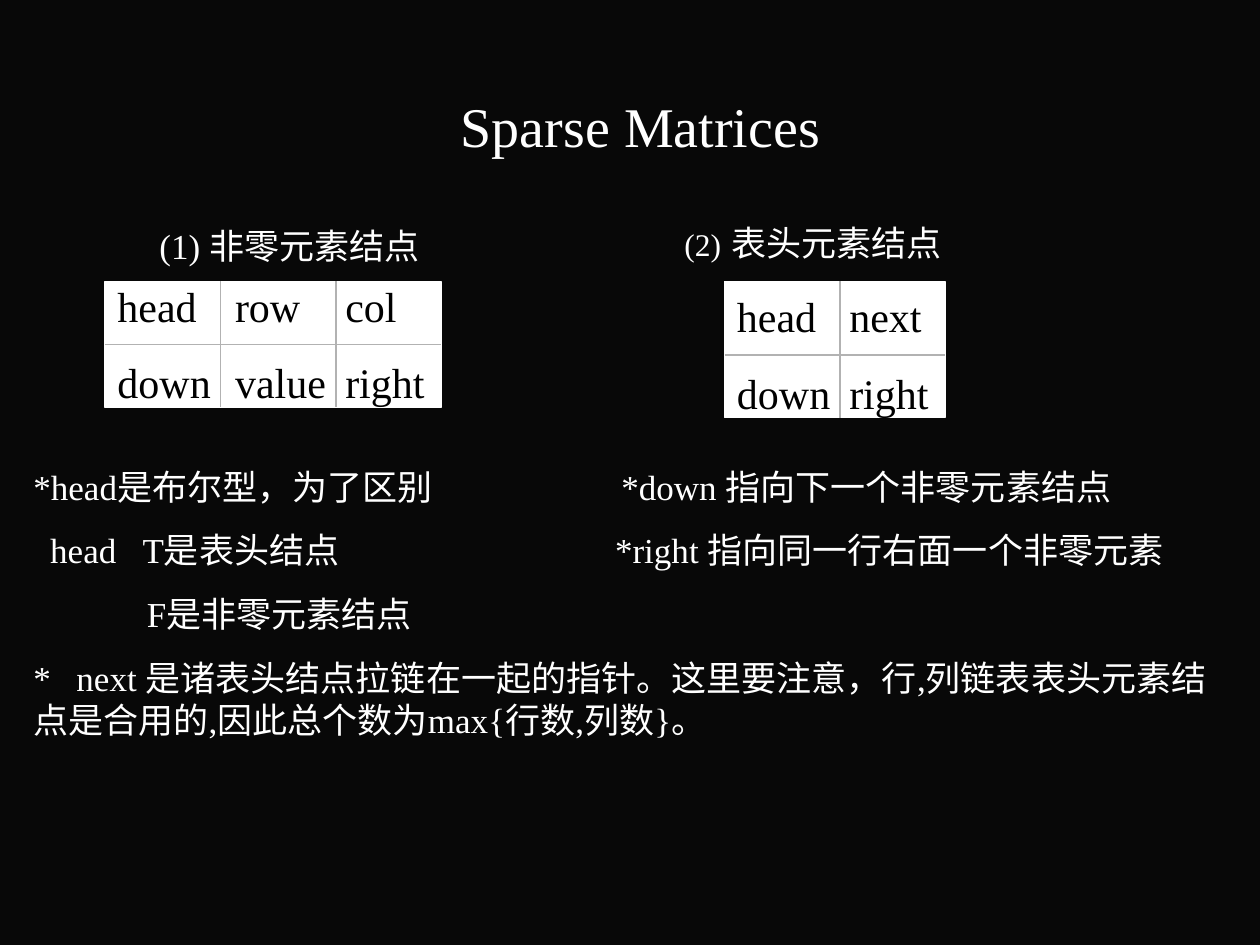
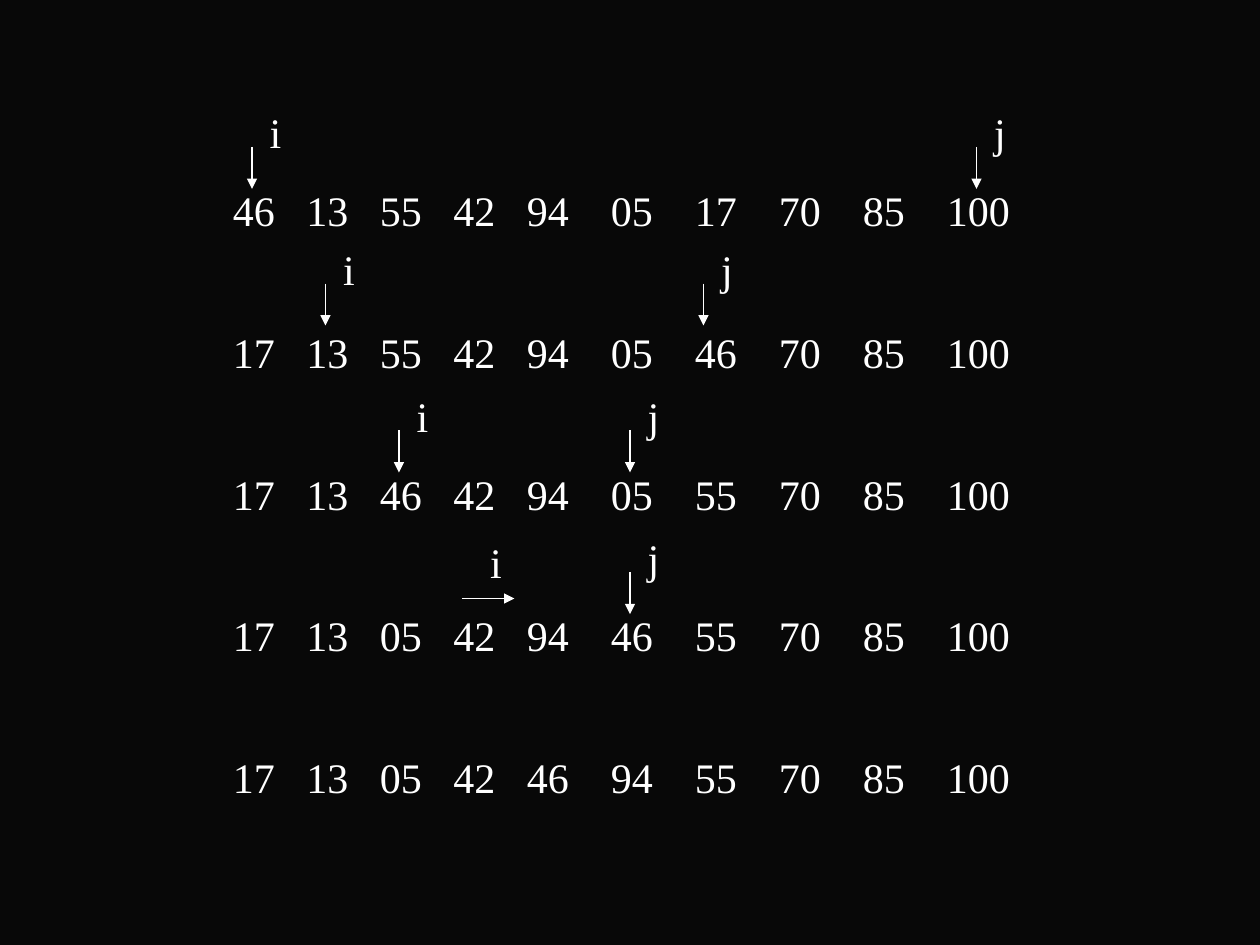
from dataclasses import dataclass

from lxml import etree
from pptx import Presentation, util as u
from pptx.dml.color import RGBColor
from pptx.enum import shapes, text
from pptx.oxml import ns

BLACK, WHITE, GREY, BACKGROUND = "000000", "FFFFFF", "B2B2B2", "080808"
FONT = "Times New Roman"
SLIDE_WIDTH, SLIDE_HEIGHT = u.Inches(10), u.Inches(7.5)
GRID_COLUMNS = 120
UNIT = SLIDE_WIDTH / GRID_COLUMNS


@dataclass(frozen=True)
class Area:
    column: float
    row: float
    columns: float
    rows: float


@dataclass(frozen=True)
class Line:
    content: str
    tabs: tuple[float, ...] = ()


@dataclass(frozen=True)
class Span:
    content: str
    size: float


@dataclass(frozen=True)
class Node:
    box: Area
    text_row: float
    divider_row: float
    divider_columns: tuple[float, ...]
    tabs: tuple[float, ...]
    fields: tuple[str, str]


@dataclass(frozen=True)
class Pointer:
    name: str
    column: float
    row: float


NODES = (
    Node(Area(10, 26.8, 32, 12), 26.1, 32.8, (21, 32), (11.2, 21.7),
         ("head\trow\tcol", "down\tvalue\tright")),
    Node(Area(69, 26.8, 21, 13), 27.1, 33.8, (80,), (10.7,),
         ("head\tnext", "down\tright")),
)
NOTES = (
    Line("*head是布尔型，为了区别\t*down 指向下一个非零元素结点", (56,)),
    Line("\thead\tT是表头结点\t*right 指向同一行右面一个非零元素", (1.6, 10.4, 55.4)),
    Line("\tF是非零元素结点", (10.8,)),
    Line("*\tnext 是诸表头结点拉链在一起的指针。这里要注意，行,列链表表头元素结点"
         "是合用的,因此总个数为max{行数,列数}。", (4.1,)),
)
PASSES = (
    "46 13 55 42 94 05 17 70 85 100",
    "17 13 55 42 94 05 46 70 85 100",
    "17 13 46 42 94 05 55 70 85 100",
    "17 13 05 42 94 46 55 70 85 100",
    "17 13 05 42 46 94 55 70 85 100",
)
FIRST_PASS_ROW, PASS_STEP = 17, 13.5
NUMBER_TABS = tuple(7 * k for k in range(1, 5)) + tuple(28 + 8 * k for k in range(1, 6))
POINTERS = (
    Pointer("i", 24, 14), Pointer("j", 93, 14),
    Pointer("i", 31, 27), Pointer("j", 67, 27),
    Pointer("i", 38, 41), Pointer("j", 60, 41),
    Pointer("j", 60, 54.5),
)


def grid(units: float) -> u.Emu:
    return u.Emu(round(units * UNIT))


def color(value: str) -> RGBColor:
    return RGBColor.from_string(value)


def place(area: Area) -> tuple[u.Emu, ...]:
    return tuple(map(grid, (area.column, area.row, area.columns, area.rows)))


def style(font, size: float, ink: str) -> None:
    font.name = FONT
    font.size = u.Pt(size)
    font.color.rgb = color(ink)


def add_tabs(paragraph, stops: tuple[float, ...]) -> None:
    if not stops:
        return
    tab_list = etree.SubElement(paragraph._p.get_or_add_pPr(), ns.qn("a:tabLst"))
    for stop in stops:
        etree.SubElement(tab_list, ns.qn("a:tab"), pos=str(grid(stop)), algn="l")


def add_frame(slide, area: Area):
    frame = slide.shapes.add_textbox(*place(area)).text_frame
    frame.word_wrap = True
    return frame


def add_text(slide, area: Area, lines: tuple[Line, ...], size: float,
             ink: str = WHITE, space_before: float = 0):
    frame = add_frame(slide, area)
    for index, line in enumerate(lines):
        paragraph = frame.add_paragraph() if index else frame.paragraphs[0]
        paragraph.text = line.content
        add_tabs(paragraph, line.tabs)
        if index:
            paragraph.space_before = u.Pt(space_before)
        style(paragraph.font, size, ink)
    return frame


def add_spans(slide, area: Area, spans: tuple[Span, ...]) -> None:
    paragraph = add_frame(slide, area).paragraphs[0]
    for span in spans:
        run = paragraph.add_run()
        run.text = span.content
        style(run.font, span.size, WHITE)


def add_line(slide, start: tuple[float, float], end: tuple[float, float],
             ink: str, arrow: bool = False) -> None:
    connector = slide.shapes.add_connector(
        shapes.MSO_CONNECTOR.STRAIGHT, *map(grid, start + end))
    connector.line.color.rgb = color(ink)
    connector.line.width = u.Pt(0.75)
    if arrow:
        etree.SubElement(connector.line._get_or_add_ln(), ns.qn("a:tailEnd"), type="triangle")
    etree.SubElement(connector._element.spPr, ns.qn("a:effectLst"))


def add_node(slide, node: Node) -> None:
    box = node.box
    shape = slide.shapes.add_shape(shapes.MSO_SHAPE.RECTANGLE, *place(box))
    shape.shadow.inherit = False
    shape.fill.solid()
    shape.fill.fore_color.rgb = color(WHITE)
    shape.line.color.rgb = color(WHITE)
    shape.line.width = u.Pt(0.75)
    add_line(slide, (box.column, node.divider_row),
             (box.column + box.columns, node.divider_row), GREY)
    for column in node.divider_columns:
        add_line(slide, (column, box.row), (column, box.row + box.rows), GREY)
    lines = tuple(Line(field, node.tabs) for field in node.fields)
    add_text(slide, Area(box.column, node.text_row, box.columns + 1, 13.3), lines, 24, BLACK, 15)


def add_pointer_name(slide, name: str, column: float, row: float) -> None:
    add_text(slide, Area(column, row, 3.5, 6), (Line(name),), 24)


def add_slide(presentation):
    slide = presentation.slides.add_slide(presentation.slide_layouts[6])
    slide.background.fill.solid()
    slide.background.fill.fore_color.rgb = color(BACKGROUND)
    return slide


def build_sparse_matrices(presentation) -> None:
    slide = add_slide(presentation)
    title = add_text(slide, Area(3, 0, 116, 15.7), (Line("Sparse Matrices"),), 32)
    title.vertical_anchor = text.MSO_ANCHOR.BOTTOM
    title.paragraphs[0].alignment = text.PP_ALIGN.CENTER
    add_text(slide, Area(2, 43.7, 117, 27.5), NOTES, 20, space_before=12.5)
    for node in NODES:
        add_node(slide, node)
    add_text(slide, Area(14, 20.8, 28, 5.3), (Line("(1) 非零元素结点"),), 20)
    add_spans(slide, Area(64, 19.8, 29, 6),
              (Span("(2)", 18), Span(" ", 24), Span("表头元素结点", 20)))


def build_partition_passes(presentation) -> None:
    slide = add_slide(presentation)
    for index, numbers in enumerate(PASSES):
        line = Line("\t".join(numbers.split()), NUMBER_TABS)
        add_text(slide, Area(21, FIRST_PASS_ROW + index * PASS_STEP, 78, 6), (line,), 24)
    for pointer in POINTERS:
        add_pointer_name(slide, pointer.name, pointer.column + 0.5, pointer.row - 4.4)
        add_line(slide, (pointer.column, pointer.row),
                 (pointer.column, pointer.row + 4), WHITE, arrow=True)
    add_pointer_name(slide, "i", 45.5, 50.5)
    add_line(slide, (44, 57), (49, 57), WHITE, arrow=True)


def main() -> None:
    presentation = Presentation()
    presentation.slide_width = SLIDE_WIDTH
    presentation.slide_height = SLIDE_HEIGHT
    build_sparse_matrices(presentation)
    build_partition_passes(presentation)
    presentation.save("out.pptx")


if __name__ == "__main__":
    main()
